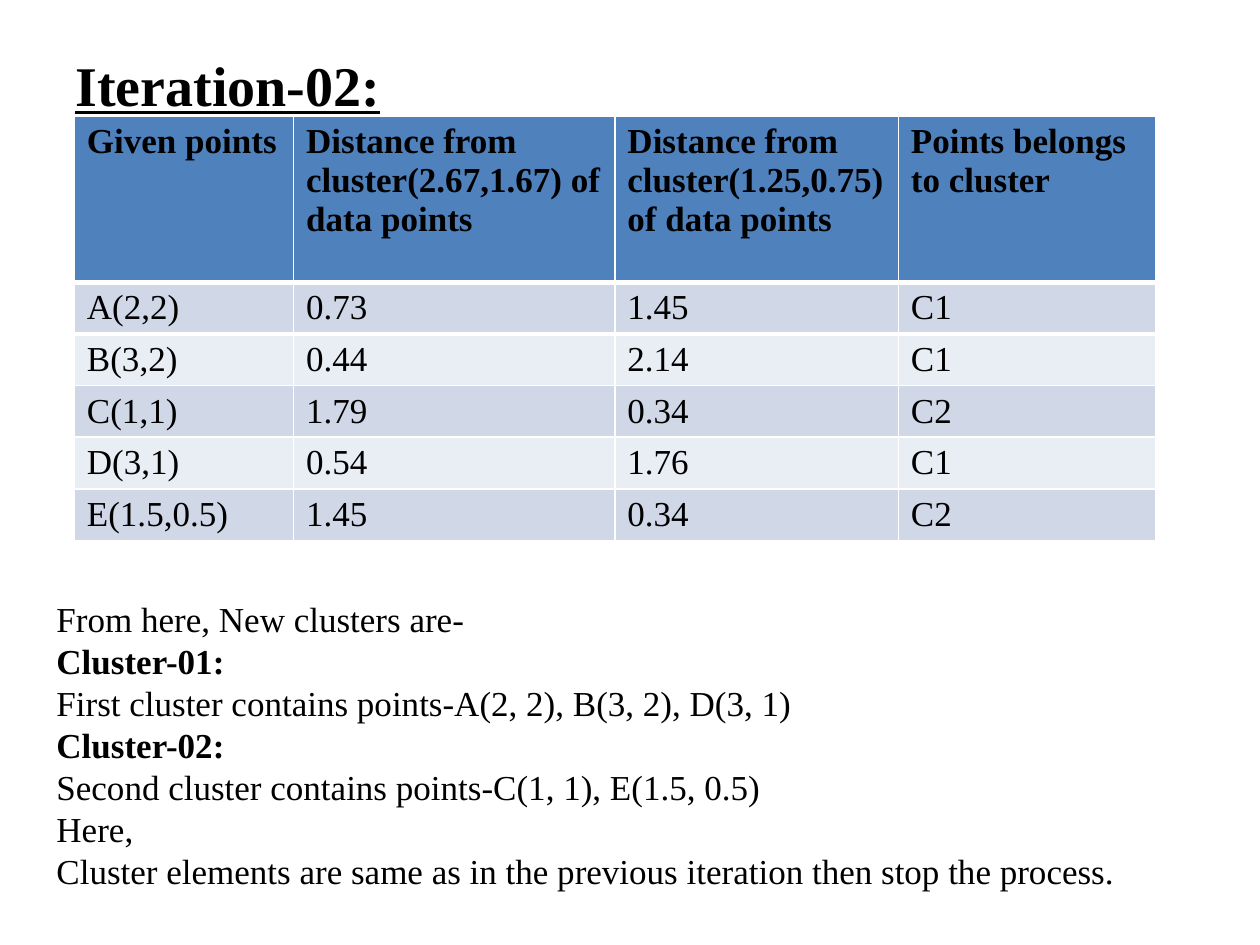
from lxml import etree
from pptx import Presentation
from pptx.dml.color import RGBColor
from pptx.oxml.ns import qn
from pptx.util import Inches, Pt

FONT = "Times New Roman"
BLACK = RGBColor(0x00, 0x00, 0x00)
WHITE = RGBColor(0xFF, 0xFF, 0xFF)
HEADER_BLUE = RGBColor(0x4F, 0x81, 0xBD)
BAND_DARK = RGBColor(0xD0, 0xD8, 0xE8)
BAND_LIGHT = RGBColor(0xE9, 0xED, 0xF4)

COLUMN_WIDTHS = (1.74, 2.55, 2.25, 2.04)
HEADER_HEIGHT = 1.32
ROW_HEIGHT = 0.41
DISTANCES = (
    ("Given points", "Distance from cluster(2.67,1.67) of data points",
     "Distance from cluster(1.25,0.75) of data points", "Points belongs to cluster"),
    ("A(2,2)", "0.73", "1.45", "C1"),
    ("B(3,2)", "0.44", "2.14", "C1"),
    ("C(1,1)", "1.79", "0.34", "C2"),
    ("D(3,1)", "0.54", "1.76", "C1"),
    ("E(1.5,0.5)", "1.45", "0.34", "C2"),
)
# Each line: text, bold
CONCLUSION = (
    ("From here, New clusters are-", False),
    ("Cluster-01:", True),
    ("First cluster contains points-A(2, 2), B(3, 2), D(3, 1)", False),
    ("Cluster-02:", True),
    ("Second cluster contains points-C(1, 1), E(1.5, 0.5)", False),
    ("Here,", False),
    ("Cluster elements are same as in the previous iteration then stop the process.", False),
)


def add_run(paragraph, text, size=20, bold=False, underline=False):
    run = paragraph.add_run()
    run.text = text
    font = run.font
    font.name = FONT
    font.size = Pt(size)
    font.bold = bold
    font.underline = underline
    font.color.rgb = BLACK


def add_text_frame(slide, left, top, width, height):
    box = slide.shapes.add_textbox(Inches(left), Inches(top), Inches(width), Inches(height))
    box.text_frame.word_wrap = True
    return box.text_frame


def add_title(slide):
    frame = add_text_frame(slide, 0.5, 0.36, 9, 6.34)
    frame.margin_top = Inches(0.04)
    add_run(frame.paragraphs[0], "Iteration-02:", size=32, bold=True, underline=True)


def set_cell_border(cell, side, width, color):
    """Draw one side of a cell; side is the tag, such as a:lnB."""
    line = etree.Element(qn(side), w=str(Pt(width)))
    fill = etree.SubElement(line, qn("a:solidFill"))
    etree.SubElement(fill, qn("a:srgbClr"), val=str(color))
    # Borders must come before the fill
    cell._tc.get_or_add_tcPr().insert(0, line)


def add_distance_table(slide):
    height = HEADER_HEIGHT + ROW_HEIGHT * (len(DISTANCES) - 1)
    table = slide.shapes.add_table(
        len(DISTANCES), len(COLUMN_WIDTHS),
        Inches(0.59), Inches(0.92), Inches(sum(COLUMN_WIDTHS)), Inches(height)).table
    for column, width in zip(table.columns, COLUMN_WIDTHS):
        column.width = Inches(width)
    for row_index, values in enumerate(DISTANCES):
        is_header = row_index == 0
        table.rows[row_index].height = Inches(HEADER_HEIGHT if is_header else ROW_HEIGHT)
        band = BAND_DARK if row_index % 2 else BAND_LIGHT
        for column_index, value in enumerate(values):
            cell = table.cell(row_index, column_index)
            cell.margin_bottom = Inches(0.02)
            cell.fill.solid()
            cell.fill.fore_color.rgb = HEADER_BLUE if is_header else band
            if row_index < 2:
                set_cell_border(cell, "a:lnB" if is_header else "a:lnT", 3, WHITE)
            add_run(cell.text_frame.paragraphs[0], value, bold=is_header)


def add_conclusion(slide):
    frame = add_text_frame(slide, 0.35, 4.69, 9.13, 2.45)
    for index, (text, bold) in enumerate(CONCLUSION):
        paragraph = frame.add_paragraph() if index else frame.paragraphs[0]
        paragraph.line_spacing = Pt(24)
        add_run(paragraph, text, bold=bold)


def main():
    presentation = Presentation()
    presentation.slide_width = Inches(10)
    presentation.slide_height = Inches(7.5)
    slide = presentation.slides.add_slide(presentation.slide_layouts[6])
    add_title(slide)
    add_distance_table(slide)
    add_conclusion(slide)
    presentation.save("out.pptx")


if __name__ == "__main__":
    main()
